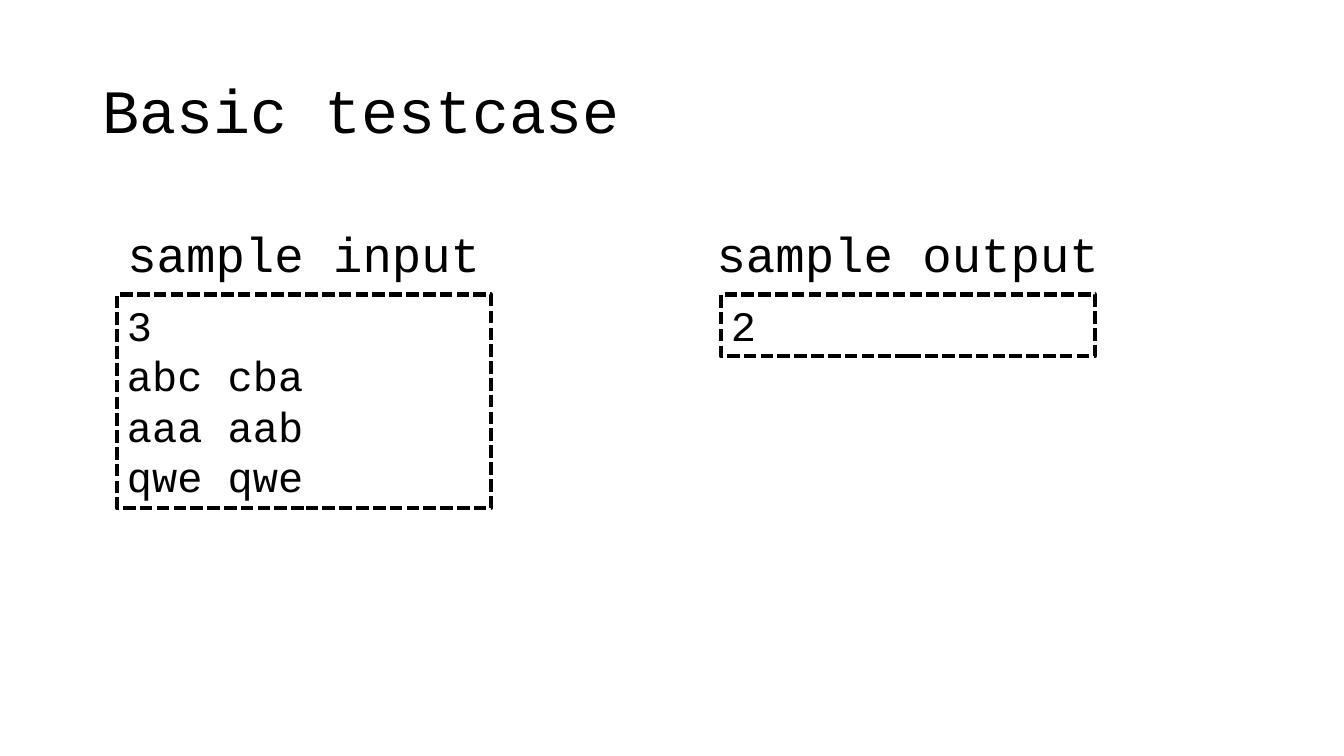
from pptx import Presentation
from pptx import util as u
from pptx.dml.color import RGBColor
from pptx.enum import dml, shapes, text

INK = {"black": "000000"}
BLACK = RGBColor.from_string(INK["black"])
FONT = "Courier New"


def write(frame, lines, size, align=text.PP_ALIGN.LEFT):
    """Fill a text frame with one paragraph per line."""
    frame.word_wrap = True
    for i, line in enumerate(lines):
        para = frame.add_paragraph() if i else frame.paragraphs[0]
        para.alignment = align
        run = para.add_run()
        run.text = line
        run.font.name = FONT
        run.font.size = u.Pt(size)
        run.font.color.rgb = BLACK


deck = Presentation()
deck.slide_width, deck.slide_height = u.Cm(33.87), u.Cm(19.05)
slide = deck.slides.add_slide(deck.slide_layouts[5])

title = slide.shapes.title
title.left, title.top = u.Cm(2.33), u.Cm(1.01)
title.width, title.height = u.Cm(29.21), u.Cm(3.68)
write(title.text_frame, ["Basic testcase"], 44)
title.text_frame.vertical_anchor = text.MSO_ANCHOR.MIDDLE
title.text_frame.paragraphs[0].line_spacing = 0.9

samples = [
    (2.41, "sample input", ["3", "abc cba", "aaa aab", "qwe qwe"], 5.39),
    (17.63, "sample output", ["2"], 1.56),
]
for left, name, lines, height in samples:
    label = slide.shapes.add_textbox(
        u.Cm(left), u.Cm(5.52), u.Cm(10.5), u.Cm(1.75))
    write(label.text_frame, [name], 35, text.PP_ALIGN.CENTER)

    box = slide.shapes.add_shape(
        shapes.MSO_SHAPE.RECTANGLE,
        u.Cm(left + 0.54), u.Cm(7.42), u.Cm(9.42), u.Cm(height))
    box.shadow.inherit = False
    box.fill.background()
    box.line.color.rgb = BLACK
    box.line.width = u.Pt(3)
    box.line.dash_style = dml.MSO_LINE.SQUARE_DOT
    box.text_frame.vertical_anchor = text.MSO_ANCHOR.TOP
    write(box.text_frame, lines, 30)

deck.save("out.pptx")
